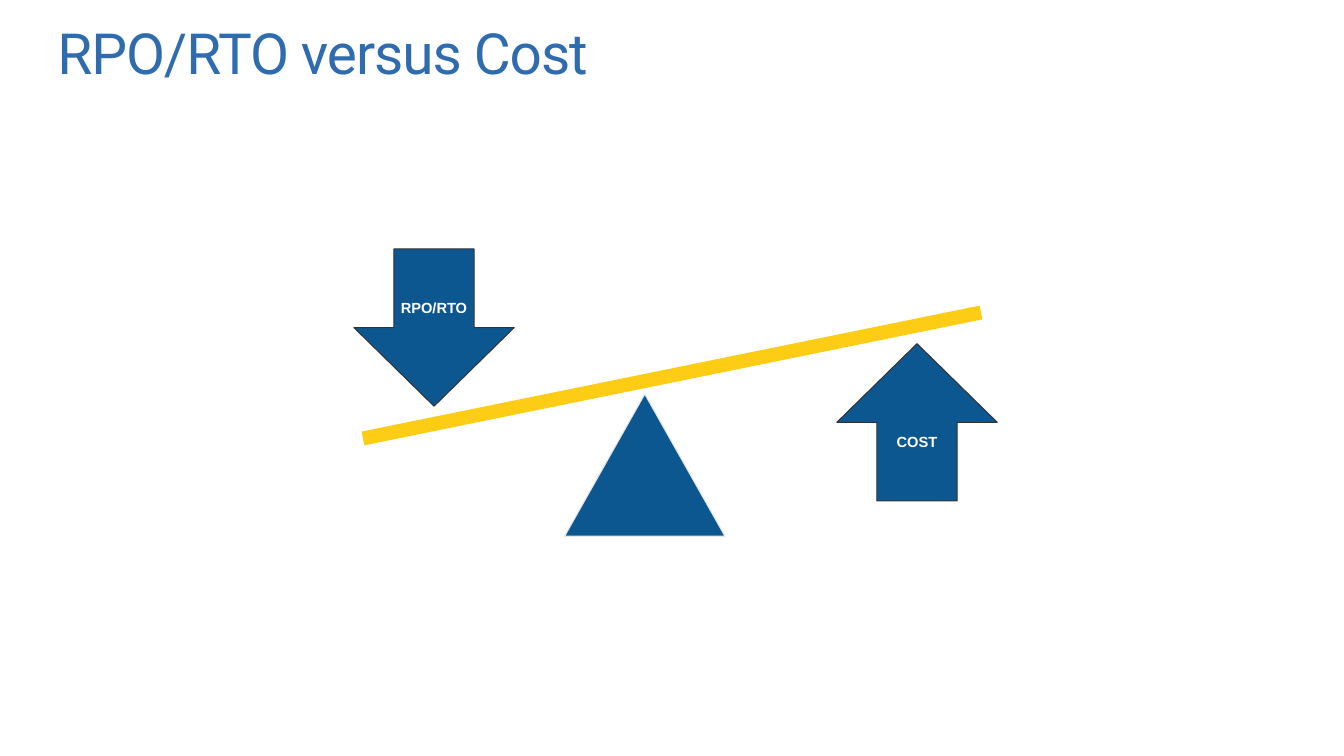
from lxml import etree
from pptx import Presentation
from pptx.dml.color import RGBColor
from pptx.enum.shapes import MSO_CONNECTOR, MSO_SHAPE
from pptx.enum.text import MSO_ANCHOR, PP_ALIGN
from pptx.oxml.ns import qn
from pptx.util import Inches, Pt

DOWN_ARROW = MSO_SHAPE.DOWN_ARROW
UP_ARROW = MSO_SHAPE.UP_ARROW
TRIANGLE = MSO_SHAPE.ISOSCELES_TRIANGLE
STRAIGHT = MSO_CONNECTOR.STRAIGHT
TOP, MIDDLE = MSO_ANCHOR.TOP, MSO_ANCHOR.MIDDLE
LEFT, CENTER = PP_ALIGN.LEFT, PP_ALIGN.CENTER

COLORS = {
    "title": "2E6CAF",
    "blue": "0D5790",
    "yellow": "FDCD15",
    "outline": "333333",
    "pale": "E6E6E6",
    "white": "FFFFFF",
}
BLOCK_WIDTH = 1.59
ARROW_HEIGHT = 1.56


def color(name):
    return RGBColor.from_string(COLORS[name])


def write(frame, text, *, size, font, ink, bold=False, align=LEFT, anchor=TOP,
          wrap=True, margins=(0, 0), line_spacing=None, tracking=None):
    """Fill a text frame; margins are (horizontal, vertical) in inches."""
    frame.word_wrap = wrap
    frame.vertical_anchor = anchor
    frame.margin_left = frame.margin_right = Inches(margins[0])
    frame.margin_top = frame.margin_bottom = Inches(margins[1])
    para = frame.paragraphs[0]
    para.alignment = align
    para.line_spacing = line_spacing
    span = para.add_run()
    span.text = text
    span.font.size = Pt(size)
    span.font.name = font
    span.font.bold = bold
    span.font.color.rgb = color(ink)
    if tracking is not None:
        span.font._element.set("spc", str(round(tracking * 100)))


class SlideBuilder:
    def __init__(self, page):
        self.page = page
        self.heading_font = "Roboto"
        self.label_font = "Arial"

    def title(self, text):
        box = self.page.shapes.add_textbox(
            Inches(0.57), Inches(0.25), Inches(12.2), Inches(0.82))
        write(box.text_frame, text, size=40.5, font=self.heading_font,
              ink="title", line_spacing=0.9, tracking=-0.8)

    def block(self, kind, left, top, height, outline):
        shape = self.page.shapes.add_shape(
            kind, Inches(left), Inches(top), Inches(BLOCK_WIDTH), Inches(height))
        shape.shadow.inherit = False
        shape.fill.solid()
        shape.fill.fore_color.rgb = color("blue")
        shape.line.color.rgb = color(outline)
        shape.line.width = Pt(0.75)
        return shape

    def arrow(self, kind, left, top, label):
        shape = self.block(kind, left, top, ARROW_HEIGHT, "outline")
        write(shape.text_frame, label, size=10.5, font=self.label_font,
              ink="white", bold=True, align=CENTER, anchor=MIDDLE,
              wrap=False, margins=(0.07, 0.04))

    def beam(self, start, end):
        line = self.page.shapes.add_connector(
            STRAIGHT, *(Inches(value) for value in (*start, *end)))
        line.line.color.rgb = color("yellow")
        line.line.width = Pt(10)
        etree.SubElement(line._element.spPr, qn("a:effectLst"))


def main():
    deck = Presentation()
    deck.slide_width, deck.slide_height = Inches(13.33), Inches(7.5)
    page = deck.slides.add_slide(deck.slide_layouts[6])
    builder = SlideBuilder(page)

    builder.title("RPO/RTO versus Cost")
    builder.arrow(DOWN_ARROW, 3.51, 2.47, "RPO/RTO")
    builder.arrow(UP_ARROW, 8.3, 3.41, "COST")
    builder.beam((3.6, 4.35), (9.73, 3.1))
    builder.block(TRIANGLE, 5.6, 3.91, 1.41, "pale")

    deck.save("out.pptx")


if __name__ == "__main__":
    main()
